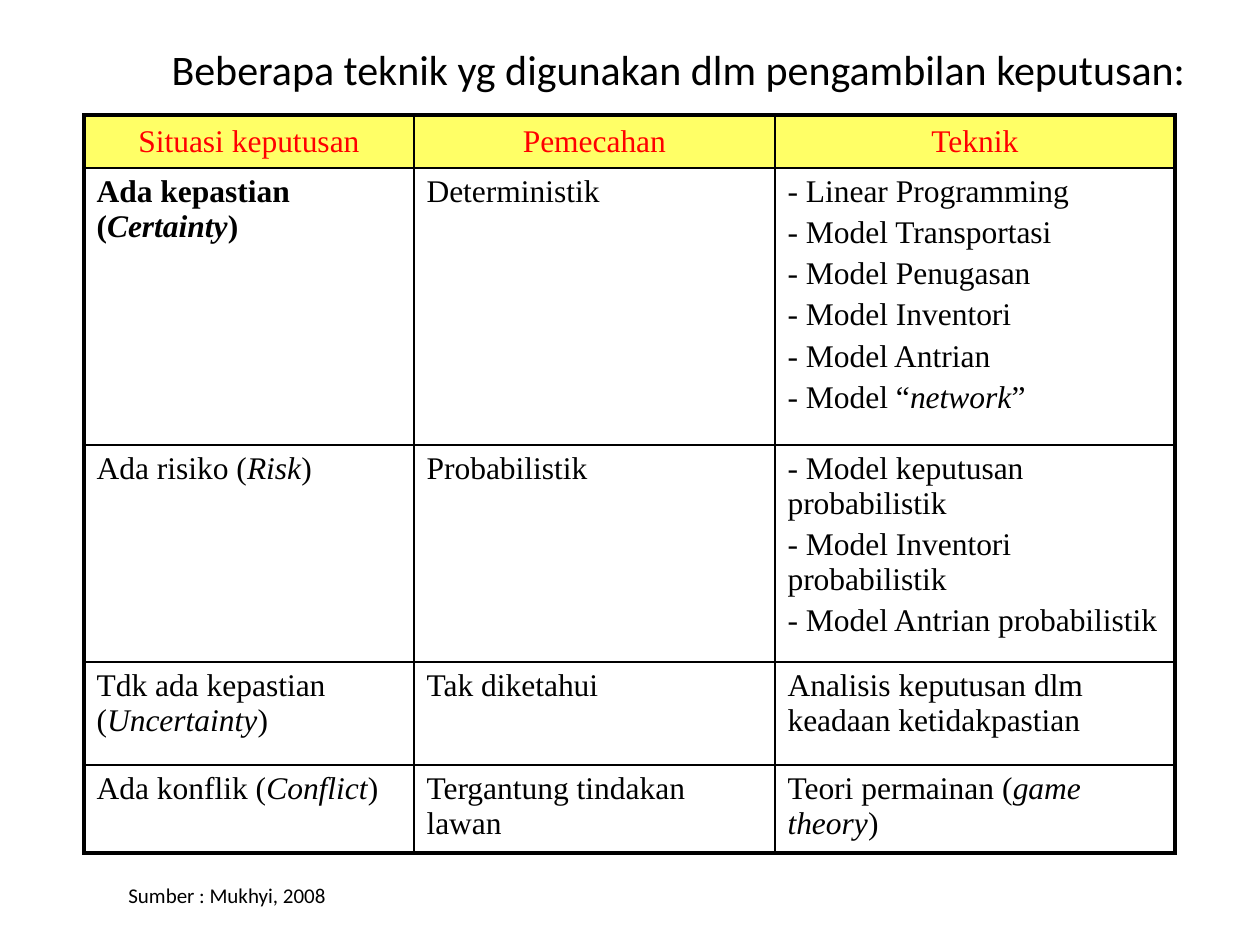
import pptx
import pptx.dml.color
import pptx.enum.text
import pptx.oxml
import pptx.oxml.ns
import pptx.util

PIXELS_PER_INCH = 126
BLACK = "000000"
HEADER_FILL = "FFFF66"
HEADER_TEXT = "FF0000"
ALIGN = pptx.enum.text.PP_ALIGN
ANCHOR = pptx.enum.text.MSO_ANCHOR

COLUMN_WIDTHS = [330, 361, 400]
ROW_HEIGHTS = [53, 277, 217, 103, 88]
HEADERS = ["Situasi keputusan", "Pemecahan", "Teknik"]
TECHNIQUES = [
    ["Ada kepastian (*Certainty*)", "Deterministik",
     "- Linear Programming\n- Model Transportasi\n- Model Penugasan\n"
     "- Model Inventori\n- Model Antrian\n- Model “*network*”"],
    ["Ada risiko (*Risk*)", "Probabilistik",
     "- Model keputusan probabilistik\n- Model Inventori probabilistik\n"
     "- Model Antrian probabilistik"],
    ["Tdk ada kepastian (*Uncertainty*)", "Tak diketahui",
     "Analisis keputusan dlm keadaan ketidakpastian"],
    ["Ada konflik (*Conflict*)", "Tergantung tindakan lawan",
     "Teori permainan (*game theory*)"],
]


def px(length):
    return pptx.util.Inches(length / PIXELS_PER_INCH)


def color(value):
    return pptx.dml.color.RGBColor.from_string(value)


class SlideBuilder:
    text_font = "Calibri"
    table_font = "Times New Roman"
    table_size = 18
    outer_line = 2.25
    inner_line = 1

    def __init__(self, presentation):
        self.slide = presentation.slides.add_slide(presentation.slide_layouts[6])

    def fill_text(self, frame, text, font, size, fill=BLACK, bold=False,
                  align=ALIGN.LEFT, space_before=0):
        frame.word_wrap = True
        for index, line in enumerate(text.split("\n")):
            paragraph = frame.add_paragraph() if index else frame.paragraphs[0]
            paragraph.alignment = align
            paragraph.space_before = pptx.util.Pt(space_before)
            for position, part in enumerate(line.split("*")):
                run = paragraph.add_run()
                run.text = part
                run.font.name = font
                run.font.size = pptx.util.Pt(size)
                run.font.bold = bold
                run.font.italic = position % 2 == 1
                run.font.color.rgb = color(fill)

    def text(self, left, top, width, height, text, size,
             align=ALIGN.LEFT, anchor=ANCHOR.TOP):
        shape = self.slide.shapes.add_textbox(px(left), px(top), px(width), px(height))
        shape.text_frame.vertical_anchor = anchor
        self.fill_text(shape.text_frame, text, self.text_font, size, align=align)

    def borders(self, cell, outer_sides):
        properties = cell._tc.get_or_add_tcPr()
        for index, side in enumerate("LRTB"):
            points = self.outer_line if side in outer_sides else self.inner_line
            line = pptx.oxml.parse_xml(
                f'<a:ln{side} {pptx.oxml.ns.nsdecls("a")} w="{pptx.util.Pt(points)}">'
                f'<a:solidFill><a:srgbClr val="{BLACK}"/></a:solidFill></a:ln{side}>')
            properties.insert(index, line)

    def table(self, left, top, widths, heights, rows):
        shape = self.slide.shapes.add_table(
            len(rows), len(widths), px(left), px(top), px(sum(widths)), px(sum(heights)))
        table = shape.table
        table.first_row = False
        table.horz_banding = False
        for column, width in zip(table.columns, widths):
            column.width = px(width)
        for row, height in zip(table.rows, heights):
            row.height = px(height)
        last_row, last_column = len(rows) - 1, len(widths) - 1
        for row_index, row in enumerate(rows):
            for column_index, text in enumerate(row):
                cell = table.cell(row_index, column_index)
                header = row_index == 0
                if header:
                    cell.fill.solid()
                    cell.fill.fore_color.rgb = color(HEADER_FILL)
                    cell.vertical_anchor = ANCHOR.MIDDLE
                else:
                    cell.fill.background()
                edges = {"L": column_index == 0, "R": column_index == last_column,
                         "T": header, "B": row_index == last_row}
                self.borders(cell, [side for side, outer in edges.items() if outer])
                self.fill_text(cell.text_frame, text, self.table_font, self.table_size,
                               fill=HEADER_TEXT if header else BLACK,
                               bold=(row_index, column_index) == (1, 0),
                               align=ALIGN.CENTER if header else ALIGN.LEFT,
                               space_before=0.2 * self.table_size)


def main():
    presentation = pptx.Presentation()
    presentation.slide_width = px(1260)
    presentation.slide_height = px(945)
    builder = SlideBuilder(presentation)
    builder.text(143, -10, 1071, 158,
                 "Beberapa teknik yg digunakan dlm pengambilan keputusan:",
                 24, ALIGN.CENTER, ANCHOR.MIDDLE)
    builder.table(84, 115, COLUMN_WIDTHS, ROW_HEIGHTS, [HEADERS] + TECHNIQUES)
    builder.text(116, 876, 273, 38, "Sumber : Mukhyi, 2008", 12)
    presentation.save("out.pptx")


if __name__ == "__main__":
    main()
